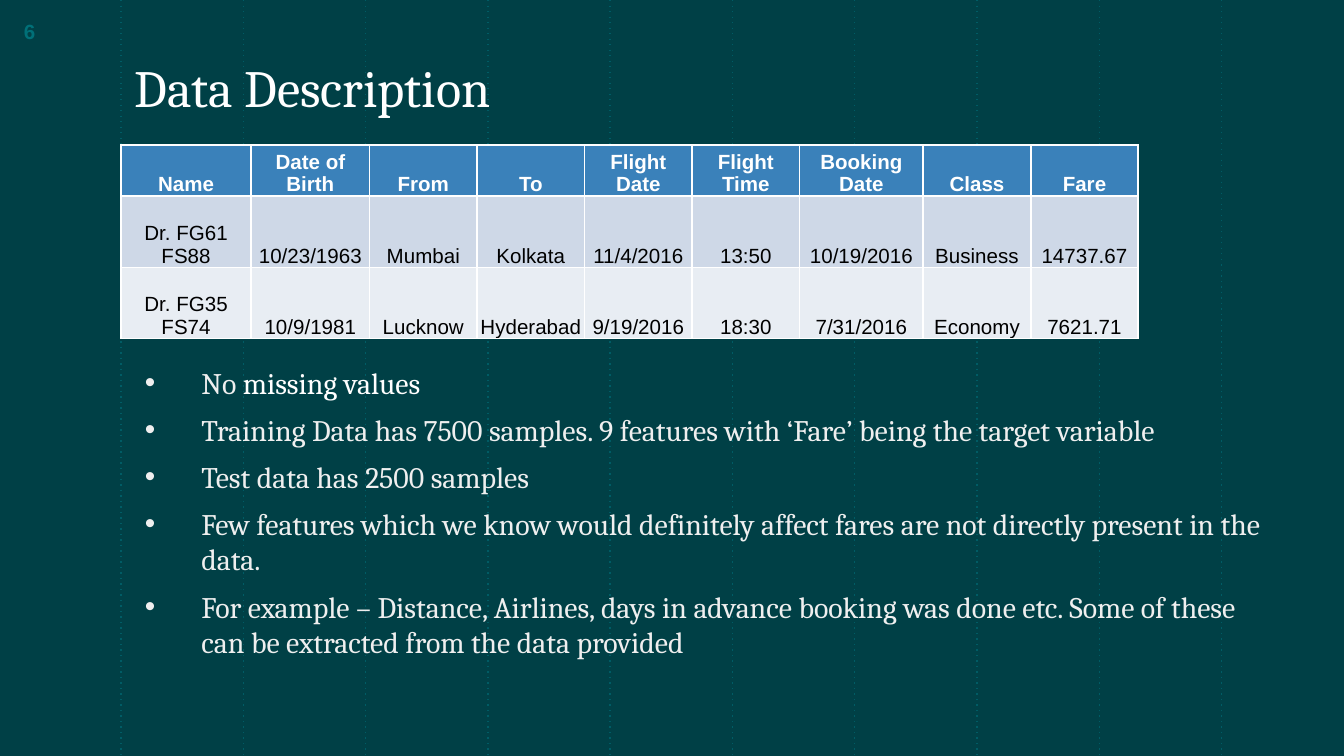
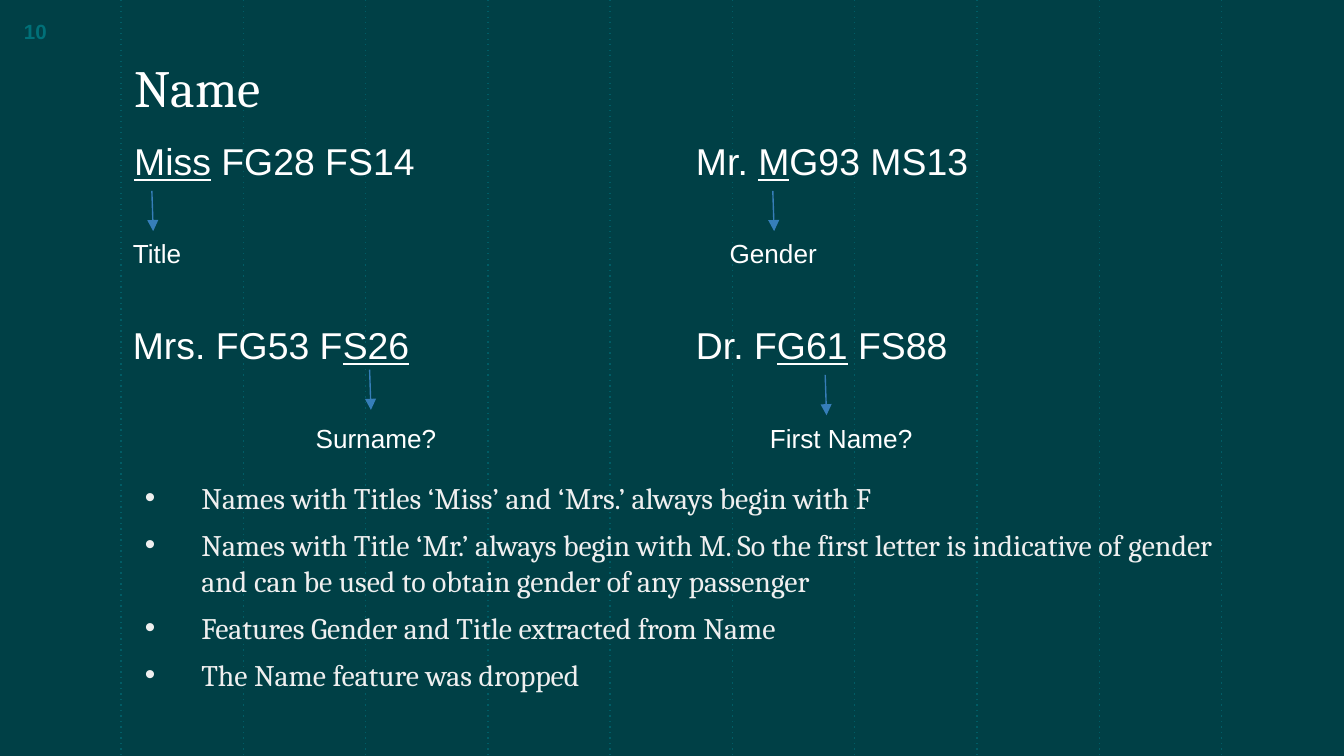
from lxml.etree import SubElement
from pptx import Presentation
from pptx.dml.color import RGBColor
from pptx.enum.shapes import MSO_CONNECTOR
from pptx.enum.text import MSO_ANCHOR, MSO_AUTO_SIZE, PP_ALIGN
from pptx.oxml import parse_xml
from pptx.oxml.ns import nsdecls, qn
from pptx.util import Inches, Pt

DEEP_TEAL = RGBColor(0x00, 0x40, 0x46)
GRID_TEAL = RGBColor(0x00, 0x5C, 0x65)
NUMBER_TEAL = RGBColor(0x00, 0x70, 0x78)
WHITE = RGBColor(0xFF, 0xFF, 0xFF)
BLACK = RGBColor(0x00, 0x00, 0x00)
PALE_GREY = RGBColor(0xEF, 0xEF, 0xEF)
ARROW_BLUE = RGBColor(0x36, 0x7E, 0xB9)
HEADER_BLUE = RGBColor(0x3A, 0x81, 0xBA)
ROW_BANDS = [RGBColor(0xCE, 0xD8, 0xE7), RGBColor(0xE8, 0xED, 0xF3)]

WIDTH = 10
HEIGHT = WIDTH * 9 / 16
EDGE, COLUMN = 0.9, 0.91    # first grid line and grid step
RIGHT_HALF = 5.08


def write(frame, text, size, font="Arial", color=WHITE, bold=False, align=PP_ALIGN.LEFT,
          anchor=MSO_ANCHOR.TOP, inset=None, bullets=False, marked_color=None):
    """Fill a text frame; parts between underscores are underlined or recoloured."""
    frame.word_wrap = True
    frame.vertical_anchor = anchor
    if inset is not None:
        frame.margin_left = frame.margin_right = Inches(inset)
        frame.margin_top = frame.margin_bottom = Inches(inset)
    for i, line in enumerate(text.split("\n")):
        paragraph = frame.add_paragraph() if i else frame.paragraphs[0]
        paragraph.alignment = align
        if bullets:
            paragraph.space_before = Pt(6)
            settings = paragraph._p.get_or_add_pPr()
            settings.set("marL", str(Inches(0.5)))
            settings.set("indent", str(Inches(-0.42)))
            bullet_color = SubElement(settings, qn("a:buClr"))
            SubElement(bullet_color, qn("a:srgbClr"), val=str(color))
            SubElement(settings, qn("a:buFont"), typeface="Arial")
            SubElement(settings, qn("a:buChar"), char="•")
        for j, part in enumerate(line.split("_")):
            if not part:
                continue
            run = paragraph.add_run()
            run.text = part
            run.font.size, run.font.name, run.font.bold = Pt(size), font, bold
            marked = j % 2 == 1
            run.font.color.rgb = marked_color if marked and marked_color else color
            run.font.underline = marked and marked_color is None


def draw_line(slide, start, end, color, dotted=False, arrow=False):
    line = slide.shapes.add_connector(MSO_CONNECTOR.STRAIGHT, *map(Inches, start + end))
    line.line.color.rgb = color
    line.line.width = Pt(0.75)
    stroke = line.line._get_or_add_ln()
    if dotted:
        SubElement(stroke, qn("a:prstDash"), val="dot")
    if arrow:
        SubElement(stroke, qn("a:tailEnd"), type="triangle")
    SubElement(line._element.spPr, qn("a:effectLst"))


deck = Presentation()
deck.slide_width, deck.slide_height = Inches(WIDTH), Inches(HEIGHT)
deck.slide_master.background.fill.solid()
deck.slide_master.background.fill.fore_color.rgb = DEEP_TEAL

# Shared frame: grid lines, page number, title and bullets
pages = [
    ("6", "Data Description", 2.61, 2.78,
     "No _missing values_\n"
     "Training Data has 7500 samples. 9 features with ‘Fare’ being the target variable\n"
     "Test data has 2500 samples\n"
     "Few features which we know would definitely affect fares are not directly present in the data.\n"
     "For example – Distance, Airlines, days in advance booking was done etc. "
     "Some of these can be extracted from the data provided"),
    ("10", "Name", 3.47, 1.77,
     "Names with Titles ‘Miss’ and ‘Mrs.’ always begin with F\n"
     "Names with Title ‘Mr.’ always begin with M. So the first letter is indicative of gender "
     "and can be used to obtain gender of any passenger\n"
     "Features Gender and Title extracted from Name\n"
     "The Name feature was dropped"),
]
for number, heading, bullets_top, bullets_height, points in pages:
    slide = deck.slides.add_slide(deck.slide_layouts[5])
    for i in range(10):
        x = EDGE + i * COLUMN
        draw_line(slide, (x, 0), (x, HEIGHT), GRID_TEAL, dotted=True)

    page_number = slide.shapes.add_textbox(*map(Inches, (0.08, 0.08, 0.6, 0.3)))
    write(page_number.text_frame, number, 11, color=NUMBER_TEAL, bold=True,
          anchor=MSO_ANCHOR.MIDDLE)

    title = slide.shapes.title
    title.left, title.top, title.width, title.height = map(Inches, (EDGE, 0.2, 5.65, 0.78))
    title.text_frame.auto_size = MSO_AUTO_SIZE.NONE
    write(title.text_frame, heading, 28, font="Cambria", anchor=MSO_ANCHOR.BOTTOM, inset=0.1)
    title._element.getparent().append(title._element)    # in front of the grid lines

    findings = slide.shapes.add_textbox(*map(Inches, (EDGE, bullets_top, 8.61, bullets_height)))
    write(findings.text_frame, points, 16, font="Cambria", color=PALE_GREY, inset=0.1,
          bullets=True, marked_color=WHITE)

data_slide, name_slide = deck.slides

# Data Description: sample records
records = [
    ["Name", "Date of Birth", "From", "To", "Flight Date", "Flight Time",
     "Booking Date", "Class", "Fare"],
    ["Dr. FG61 FS88", "10/23/1963", "Mumbai", "Kolkata", "11/4/2016", "13:50",
     "10/19/2016", "Business", "14737.67"],
    ["Dr. FG35 FS74", "10/9/1981", "Lucknow", "Hyderabad", "9/19/2016", "18:30",
     "7/31/2016", "Economy", "7621.71"],
]
column_widths = [0.97, 0.88, 0.8, 0.8, 0.8, 0.8, 0.92, 0.8, 0.8]
row_heights = [0.38, 0.53, 0.53]
samples = data_slide.shapes.add_table(
    len(records), len(column_widths), Inches(EDGE), Inches(1.08),
    Inches(sum(column_widths)), Inches(sum(row_heights))).table
for column, width in zip(samples.columns, column_widths):
    column.width = Inches(width)
for r, record in enumerate(records):
    samples.rows[r].height = Inches(row_heights[r])
    header = r == 0
    for c, value in enumerate(record):
        cell = samples.cell(r, c)
        cell.margin_left = cell.margin_right = cell.margin_top = Inches(0.01)
        cell.margin_bottom = 0
        write(cell.text_frame, value, 11, color=WHITE if header else BLACK, bold=header,
              align=PP_ALIGN.CENTER)
        cell.vertical_anchor = MSO_ANCHOR.BOTTOM
        for side in "LRTB":
            cell._tc.get_or_add_tcPr().append(parse_xml(
                f'<a:ln{side} {nsdecls("a")} w="{Pt(1)}"><a:solidFill>'
                f'<a:srgbClr val="{WHITE}"/></a:solidFill></a:ln{side}>'))
        cell.fill.solid()
        cell.fill.fore_color.rgb = HEADER_BLUE if header else ROW_BANDS[r - 1]

# Name: four passenger names, each with an arrow to the label of its marked part
# name, left, top, width, arrow x, arrow top, label, label left, label width
examples = [
    ("_Miss_ FG28 FS14", EDGE, 0.98, 2.71, 1.13, 1.42, "Title", 0.89, 0.81),
    ("Mr. _M_G93 MS13", RIGHT_HALF, 0.98, 2.71, 5.75, 1.42, "Gender", 5.33, 0.87),
    ("Mrs. FG53 F_S26_", 0.89, 2.35, 2.71, 2.75, 2.75, "Surname?", 2.25, 1.13),
    ("Dr. F_G61_ FS88", RIGHT_HALF, 2.35, 2.13, 6.14, 2.79, "First Name?", 5.63, 1.31),
]
for passenger, left, top, width, arrow_x, arrow_top, label, label_left, label_width in examples:
    name = name_slide.shapes.add_textbox(*map(Inches, (left, top, width, 0.44)))
    write(name.text_frame, passenger, 20)
    draw_line(name_slide, (arrow_x, arrow_top), (arrow_x + 0.01, arrow_top + 0.3),
              ARROW_BLUE, arrow=True)
    meaning = name_slide.shapes.add_textbox(
        *map(Inches, (label_left, top + 0.74, label_width, 0.34)))
    write(meaning.text_frame, label, 14)

deck.save("out.pptx")
